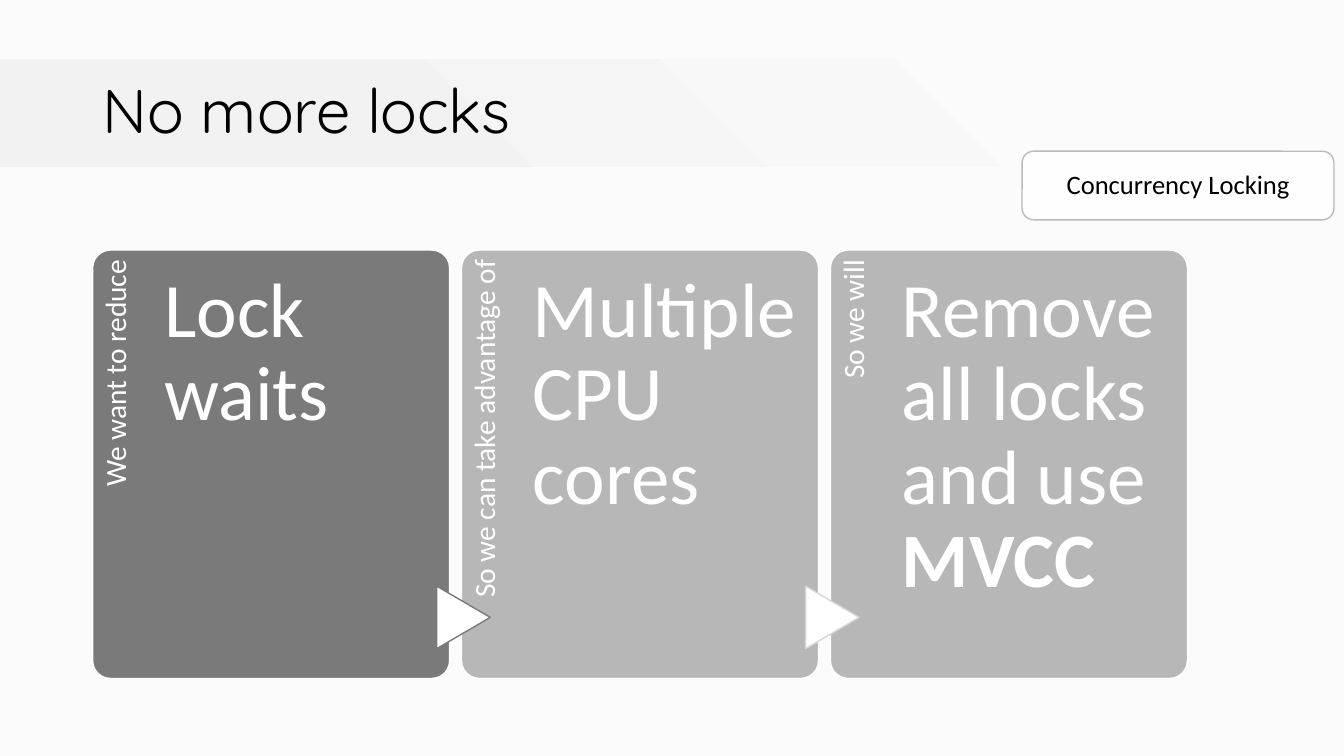
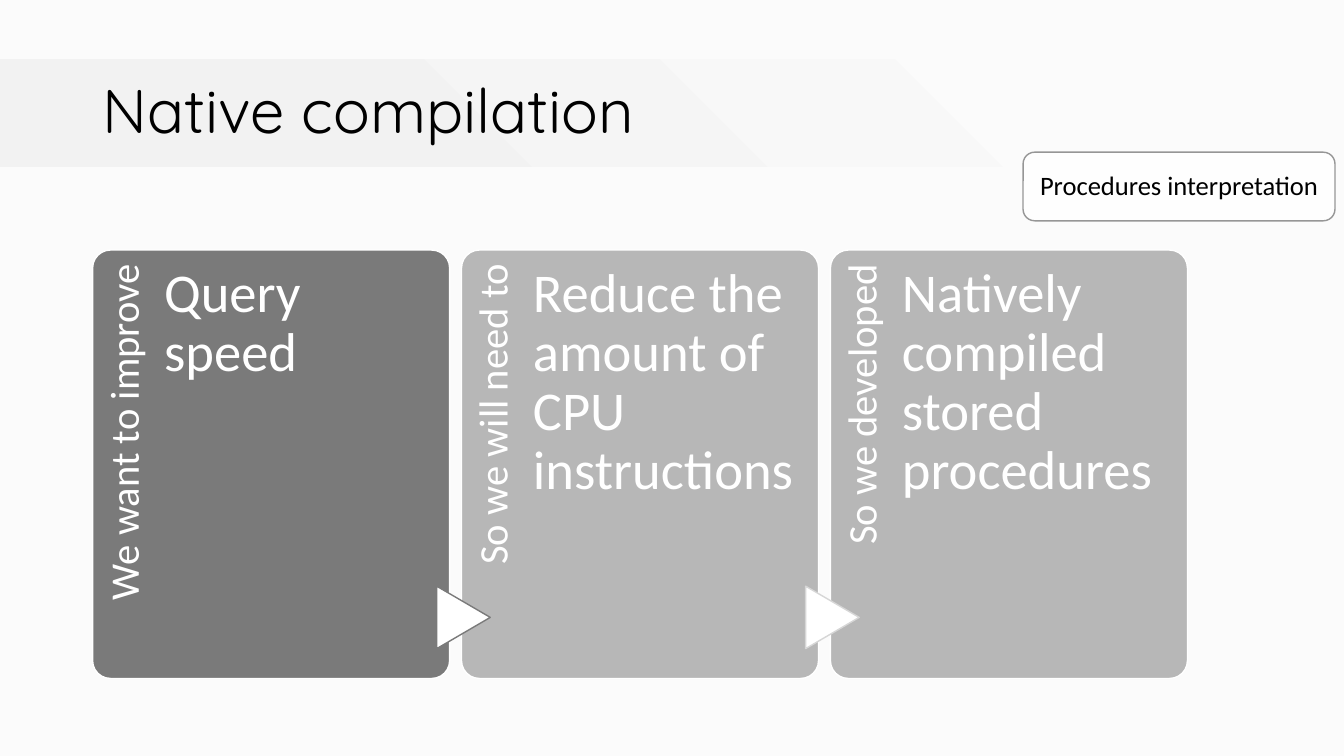
"""Build two slides that each lead through a three-step line of reasoning."""
from dataclasses import dataclass

from lxml import etree
from pptx import Presentation
from pptx.dml.color import RGBColor
from pptx.enum.shapes import MSO_SHAPE
from pptx.enum.text import MSO_ANCHOR, PP_ALIGN
from pptx.oxml.ns import qn
from pptx.util import Pt

RECT = MSO_SHAPE.RECTANGLE
ROUNDED = MSO_SHAPE.ROUNDED_RECTANGLE
TRIANGLE = MSO_SHAPE.FLOWCHART_EXTRACT
TOP, MIDDLE = MSO_ANCHOR.TOP, MSO_ANCHOR.MIDDLE
LEFT, CENTER, RIGHT = PP_ALIGN.LEFT, PP_ALIGN.CENTER, PP_ALIGN.RIGHT

PAPER, BAND, WHITE, BLACK = "FBFBFB", "F2F2F2", "FFFFFF", "000000"
CARD_FILLS = ("7A7A7A", "B7B7B7", "B7B7B7")
ARROW_LINES = ("7A7A7A", "D6D6D6")
TITLE_FONT, BODY_FONT = "Quicksand", "Calibri"

CARD_X, CARD_Y, CARD_W, CARD_H = 66.2, 178.6, 255, 306
CARD_PITCH = 263.5
LABEL_W, LABEL_H = 250.6, 51
BODY_W = 190
ARROW_W, ARROW_H, ARROW_Y = 44.6, 38.2, 421.9
ARROW_SHIFT = -20.9


@dataclass(frozen=True)
class Box:
    """A rectangle in points."""

    x: float
    y: float
    w: float
    h: float


@dataclass(frozen=True)
class Style:
    """How a block of text is set."""

    size: float
    font: str = BODY_FONT
    color: str = WHITE
    align: PP_ALIGN = LEFT
    anchor: MSO_ANCHOR = TOP
    insets: tuple[float, float, float, float] = (0, 0, 0, 0)


@dataclass(frozen=True)
class Step:
    """One card: its upright label, its statement and a bold last line."""

    label: str
    body: str
    strong: str = ""


@dataclass(frozen=True)
class Page:
    """The content of one slide and its text styles."""

    title: str
    tag: str
    tag_box: Box
    tag_line: str
    label_style: Style
    body_style: Style
    steps: tuple[Step, ...]


TITLE_STYLE = Style(44, TITLE_FONT, BLACK, anchor=MIDDLE, insets=(7.2, 3.6, 7.2, 3.6))
TAG_STYLE = Style(19, color=BLACK, align=CENTER, anchor=MIDDLE, insets=(8, 8, 8, 8))

PAGES = (
    Page(
        "No more locks", "Concurrency Locking", Box(730.1, 108, 222.8, 49), "BABABA",
        Style(21, align=RIGHT, insets=(0, 5.8, 7.2, 0)),
        Style(55, insets=(0, 15.1, 0, 0)),
        (
            Step("We want to reduce", "Lock waits"),
            Step("So we can take advantage of", "Multiple CPU cores"),
            Step("So we will", "Remove all locks and use", "MVCC"),
        ),
    ),
    Page(
        "Native compilation", "Procedures interpretation", Box(730.8, 108.7, 222.8, 49), "969696",
        Style(29, align=RIGHT, insets=(0, 7.9, 10.1, 0)),
        Style(39, insets=(0, 10.8, 0, 0)),
        (
            Step("We want to improve", "Query speed"),
            Step("So we will need to", "Reduce the amount of CPU instructions"),
            Step("So we developed", "Natively compiled stored procedures"),
        ),
    ),
)


def rgb(color: str) -> RGBColor:
    """Turn a hex string into a colour."""
    return RGBColor.from_string(color)


def place(box: Box) -> tuple[Pt, Pt, Pt, Pt]:
    """Give a box as slide lengths."""
    return Pt(box.x), Pt(box.y), Pt(box.w), Pt(box.h)


def add_shape(s, kind: MSO_SHAPE, box: Box, fill: str, line: str = "", radius: float = 0):
    """Add a flat shape with an optional outline and corner radius."""
    sp = s.shapes.add_shape(kind, *place(box))
    sp.shadow.inherit = False
    sp.fill.solid()
    sp.fill.fore_color.rgb = rgb(fill)
    if line:
        sp.line.color.rgb = rgb(line)
        sp.line.width = Pt(1)
    else:
        sp.line.fill.background()
    if radius:
        sp.adjustments[0] = radius
    return sp


def write(sp, style: Style, text: str, strong: str = "") -> None:
    """Set the text of a shape, with an optional bold line below."""
    tf = sp.text_frame
    tf.word_wrap = True
    tf.vertical_anchor = style.anchor
    tf.margin_left, tf.margin_top, tf.margin_right, tf.margin_bottom = map(Pt, style.insets)
    p = tf.paragraphs[0]
    p.alignment = style.align
    p.line_spacing = 0.9
    for part, bold in ((text, False), (strong, True)):
        if not part:
            continue
        if bold:
            p.add_line_break()
        r = p.add_run()
        r.text = part
        r.font.name = style.font
        r.font.size = Pt(style.size)
        r.font.bold = bold
        r.font.color.rgb = rgb(style.color)


def add_text(s, box: Box, style: Style, text: str, strong: str = "", rotation: float = 0) -> None:
    """Add a text box."""
    sp = s.shapes.add_textbox(*place(box))
    sp.rotation = rotation
    write(sp, style, text, strong)


def add_title(s, title: str) -> None:
    """Add the title over a band that fades out from its lower left corner."""
    sp = add_shape(s, RECT, Box(-1.4, 42.5, 809.3, 76.3), BAND)
    sp.fill.gradient()
    for stop, position, color in zip(sp.fill.gradient_stops, (0.24, 1), (BAND, PAPER)):
        stop.position = position
        stop.color.rgb = rgb(color)
    grad = sp.element.spPr.find(qn("a:gradFill"))
    grad.remove(grad.find(qn("a:lin")))
    path = etree.SubElement(grad, qn("a:path"), {"path": "circle"})
    etree.SubElement(path, qn("a:fillToRect"), {"t": "100000", "r": "100000"})
    add_text(s, Box(66.2, 28.8, 828, 104.4), TITLE_STYLE, title)


def add_step(s, page: Page, i: int) -> None:
    """Add a card, and an arrow into it from the card before."""
    step, x = page.steps[i], CARD_X + i * CARD_PITCH
    add_shape(s, ROUNDED, Box(x, CARD_Y, CARD_W, CARD_H), CARD_FILLS[i], WHITE, 0.05)
    turn = (LABEL_W - LABEL_H) / 2
    label_box = Box(x - turn, CARD_Y + turn, LABEL_W, LABEL_H)
    add_text(s, label_box, page.label_style, step.label, rotation=270)
    if i:
        arrow_box = Box(x + ARROW_SHIFT, ARROW_Y, ARROW_W, ARROW_H)
        add_shape(s, TRIANGLE, arrow_box, WHITE, ARROW_LINES[i - 1]).rotation = 90
    body_box = Box(x + LABEL_H, CARD_Y, BODY_W, CARD_H)
    add_text(s, body_box, page.body_style, step.body, step.strong)


def add_tag(s, page: Page) -> None:
    """Add the slightly transparent topic tag."""
    sp = add_shape(s, ROUNDED, page.tag_box, WHITE, page.tag_line, 0.17)
    color = sp.element.spPr.find(qn("a:solidFill")).find(qn("a:srgbClr"))
    etree.SubElement(color, qn("a:alpha"), {"val": "90000"})
    write(sp, TAG_STYLE, page.tag)


def main() -> None:
    """Build and save the presentation."""
    prs = Presentation()
    prs.slide_width, prs.slide_height = Pt(960), Pt(540)
    background = prs.slide_master.background.fill
    background.solid()
    background.fore_color.rgb = rgb(PAPER)
    for page in PAGES:
        s = prs.slides.add_slide(prs.slide_layouts[6])
        add_title(s, page.title)
        for i in range(len(page.steps)):
            add_step(s, page, i)
        add_tag(s, page)
    prs.save("out.pptx")


if __name__ == "__main__":
    main()
